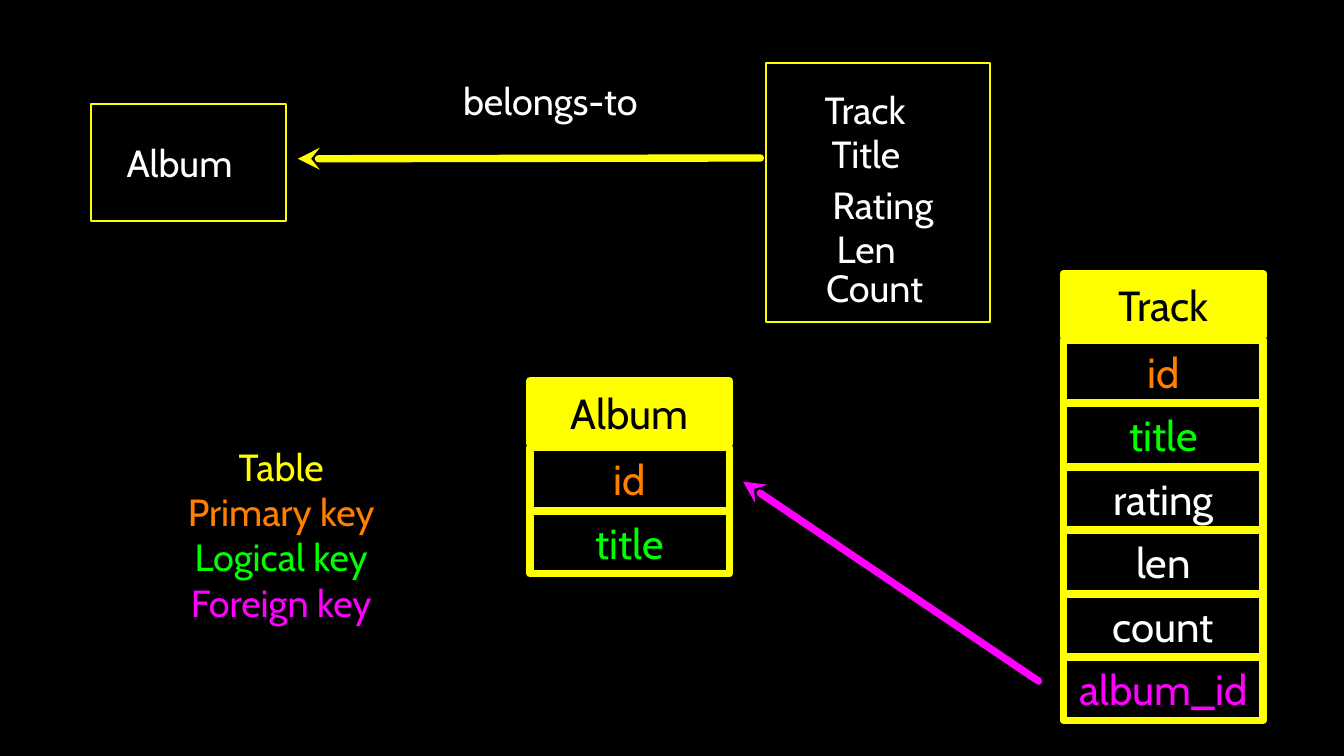
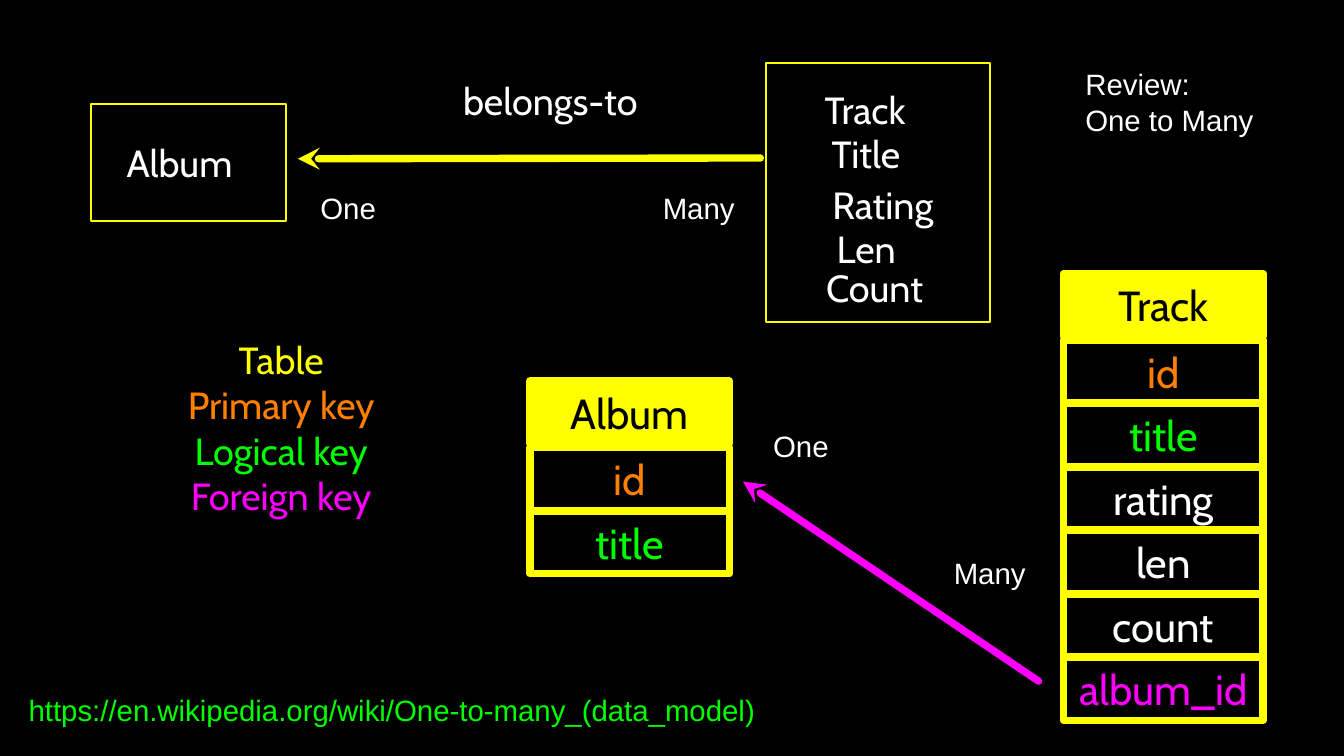
import pptx
import pptx.dml.color
import pptx.enum.shapes
import pptx.enum.text
import pptx.oxml.ns
import pptx.util
from lxml import etree
from pptx.util import Inches

BLACK, WHITE, YELLOW = "000000", "FFFFFF", "FFFF00"
ORANGE, GREEN, MAGENTA = "FF7F00", "00FF00", "FF00FF"
DIAGRAM_FONT, NOTE_FONT = "Cabin", "Arial"
ENTITY_LINE, TABLE_LINE = 2, 7
CELL_WIDTH, CELL_HEIGHT, CELL_PITCH, HEADER_PITCH = 2.64, 0.83, 0.84, 0.88
LABEL_HEIGHT = 0.68

KEY_LEGEND = [("Table", YELLOW), ("Primary key", ORANGE),
              ("Logical key", GREEN), ("Foreign key", MAGENTA)]
ALBUM_COLUMNS = [("id", ORANGE), ("title", GREEN)]
TRACK_COLUMNS = ALBUM_COLUMNS + [("rating", WHITE), ("len", WHITE),
                                 ("count", WHITE), ("album_id", MAGENTA)]
ENTITY_LABELS = [("Album", 1.51, 1.81, 1.73), ("belongs-to", 5.89, 0.99, 2.78),
                 ("Track", 10.69, 1.11, 1.51), ("Title", 10.79, 1.69, 1.33),
                 ("Rating", 10.8, 2.36, 1.76), ("Len", 10.89, 2.94, 1.14),
                 ("Count", 10.86, 3.46, 1.42)]
CARDINALITIES = [("One", 4.14, 2.46, 0.94), ("Many", 8.67, 2.46, 1.16),
                 ("One", 10.13, 5.62, 0.94), ("Many", 12.52, 7.3, 1.16)]


def rgb(value):
    """Turn a hex string into a colour."""
    return pptx.dml.color.RGBColor.from_string(value)


def write_lines(shape, lines, size, font, alignment):
    """Write one paragraph for each (text, colour) pair."""
    text_frame = shape.text_frame
    text_frame.text = "\n".join(text for text, _ in lines)
    for paragraph, (_, color) in zip(text_frame.paragraphs, lines):
        paragraph.alignment = alignment
        for run in paragraph.runs:
            run.font.name = font
            run.font.size = pptx.util.Pt(size)
            run.font.color.rgb = rgb(color)


def write_centred(shape, lines, size):
    """Fill a shape with centred diagram text and no margins."""
    text_frame = shape.text_frame
    text_frame.word_wrap = True
    text_frame.vertical_anchor = pptx.enum.text.MSO_ANCHOR.MIDDLE
    text_frame.margin_left = text_frame.margin_right = 0
    text_frame.margin_top = text_frame.margin_bottom = 0
    write_lines(shape, lines, size, DIAGRAM_FONT, pptx.enum.text.PP_ALIGN.CENTER)


def add_textbox(slide, left, top, width, height):
    """Add an empty text box measured in inches."""
    return slide.shapes.add_textbox(Inches(left), Inches(top), Inches(width), Inches(height))


def add_label(slide, lines, left, top, width, height=LABEL_HEIGHT):
    """Add a centred diagram label."""
    write_centred(add_textbox(slide, left, top, width, height), lines, 36)


def add_note(slide, texts, left, top, width, height=0.57, color=WHITE):
    """Add a left-aligned note that grows with its text."""
    textbox = add_textbox(slide, left, top, width, height)
    textbox.text_frame.word_wrap = False
    textbox.text_frame.auto_size = pptx.enum.text.MSO_AUTO_SIZE.SHAPE_TO_FIT_TEXT
    lines = [(text, color) for text in texts]
    write_lines(textbox, lines, 28, NOTE_FONT, pptx.enum.text.PP_ALIGN.LEFT)


def add_box(slide, left, top, width, height, line_width, fill=None):
    """Add a yellow-outlined rectangle, hollow unless a fill is given."""
    box = slide.shapes.add_shape(pptx.enum.shapes.MSO_SHAPE.RECTANGLE, Inches(left),
                                 Inches(top), Inches(width), Inches(height))
    box.shadow.inherit = False
    box.line.color.rgb = rgb(YELLOW)
    box.line.width = pptx.util.Pt(line_width)
    if fill:
        box.fill.solid()
        box.fill.fore_color.rgb = rgb(fill)
    else:
        box.fill.background()
    return box


def add_database_table(slide, name, columns, left, top):
    """Stack a filled header and one cell for each column."""
    header = add_box(slide, left, top, CELL_WIDTH, CELL_HEIGHT, TABLE_LINE, YELLOW)
    write_centred(header, [(name, BLACK)], 40)
    for index, column in enumerate(columns):
        cell_top = top + HEADER_PITCH + index * CELL_PITCH
        cell = add_box(slide, left, cell_top, CELL_WIDTH, CELL_HEIGHT, TABLE_LINE)
        write_centred(cell, [column], 40)


def add_arrow(slide, tip, tail, color):
    """Draw a thick arrow with a stealth head at its tip."""
    connector = slide.shapes.add_connector(
        pptx.enum.shapes.MSO_CONNECTOR.STRAIGHT, *map(Inches, tip + tail))
    connector.line.color.rgb = rgb(color)
    connector.line.width = pptx.util.Pt(TABLE_LINE)
    qn = pptx.oxml.ns.qn
    properties = connector._element.spPr
    line = properties.find(qn("a:ln"))
    line.set("cap", "rnd")
    etree.SubElement(line, qn("a:round"))
    etree.SubElement(line, qn("a:headEnd"), type="stealth")
    etree.SubElement(properties, qn("a:effectLst"))


def add_model_slide(presentation, legend_top):
    """Add a slide with the entity diagram, its tables and the key legend."""
    slide = presentation.slides.add_slide(presentation.slide_layouts[6])
    slide.background.fill.solid()
    slide.background.fill.fore_color.rgb = rgb(BLACK)
    add_box(slide, 10.13, 0.83, 2.97, 3.43, ENTITY_LINE)
    add_box(slide, 1.21, 1.38, 2.57, 1.54, ENTITY_LINE)
    add_arrow(slide, (3.94, 2.1), (10.06, 2.09), YELLOW)
    add_database_table(slide, "Album", ALBUM_COLUMNS, 7.01, 5.04)
    add_database_table(slide, "Track", TRACK_COLUMNS, 14.07, 3.62)
    add_arrow(slide, (9.83, 6.37), (13.74, 9.01), MAGENTA)
    add_label(slide, KEY_LEGEND, 1.99, legend_top, 3.46, 2.39)
    for text, left, top, width in ENTITY_LABELS:
        add_label(slide, [(text, WHITE)], left, top, width)
    return slide


def add_review_notes(slide):
    """Add the cardinalities, the review heading and the reference link."""
    for text, left, top, width in CARDINALITIES:
        add_note(slide, [text], left, top, width)
    add_note(slide, ["https://en.wikipedia.org/wiki/One-to-many_(data_model)"],
             0.28, 9.11, 9.91, color=GREEN)
    add_note(slide, ["Review:", "One to Many"], 14.26, 0.83, 2.45, 1.04)


def main():
    """Build and save the presentation."""
    presentation = pptx.Presentation()
    presentation.slide_width = Inches(17.78)
    presentation.slide_height = Inches(10)
    add_model_slide(presentation, legend_top=5.87)
    add_review_notes(add_model_slide(presentation, legend_top=4.46))
    presentation.save("out.pptx")


if __name__ == "__main__":
    main()
